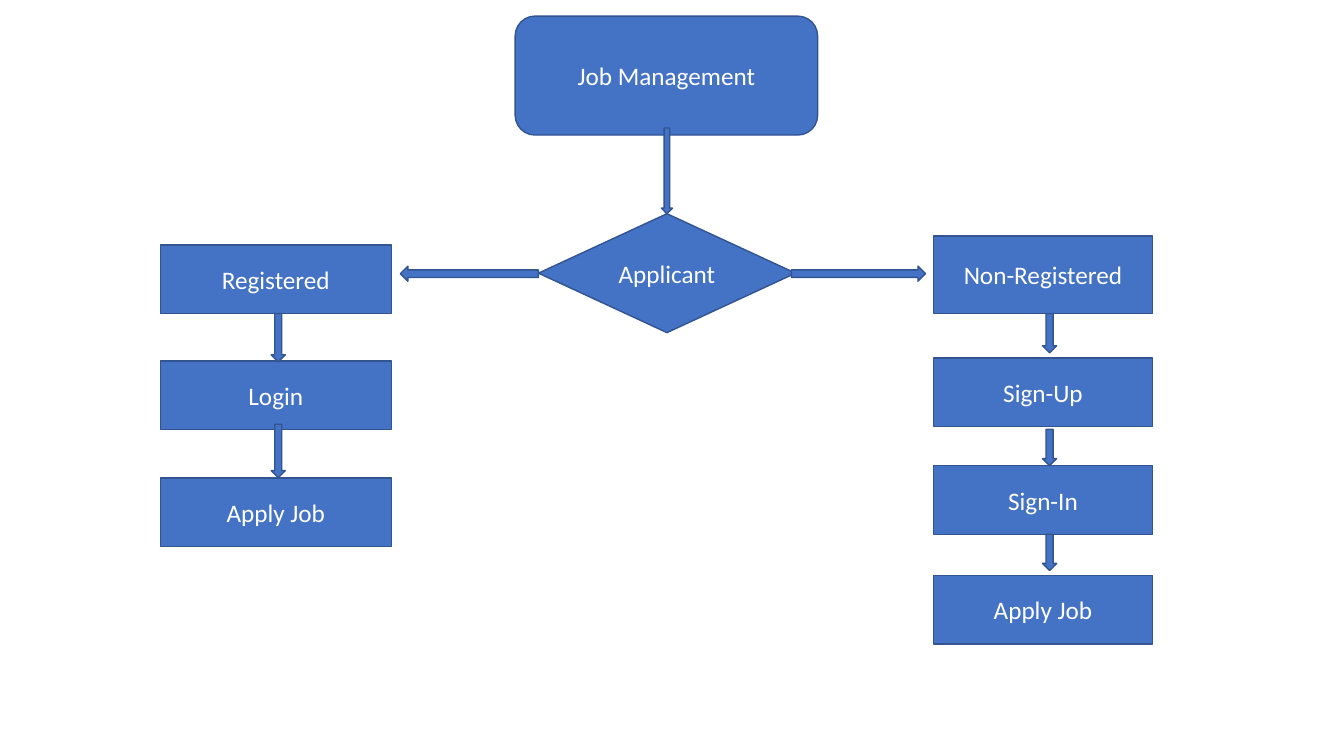
from pptx import Presentation
from pptx.dml.color import RGBColor
from pptx.enum.shapes import MSO_SHAPE as Shape
from pptx.enum.text import MSO_ANCHOR as Anchor, PP_ALIGN as Align
from pptx.util import Inches, Pt

COLORS = {"fill": "4472C4", "line": "325491", "text": "FFFFFF"}


class FlowChart:
    font_name = "Calibri"
    font_size = Pt(18)
    line_width = Pt(1)
    arrow_width = 0.14

    def __init__(self, slide):
        self.slide = slide

    def color(self, name):
        return RGBColor.from_string(COLORS[name])

    def block(self, kind, left, top, width, height):
        shape = self.slide.shapes.add_shape(
            kind, Inches(left), Inches(top), Inches(width), Inches(height))
        shape.shadow.inherit = False
        shape.fill.solid()
        shape.fill.fore_color.rgb = self.color("fill")
        shape.line.color.rgb = self.color("line")
        shape.line.width = self.line_width
        return shape

    def step(self, text, left, top, width, height, kind=Shape.RECTANGLE):
        frame = self.block(kind, left, top, width, height).text_frame
        frame.word_wrap = True
        frame.vertical_anchor = Anchor.MIDDLE
        paragraph = frame.paragraphs[0]
        paragraph.alignment = Align.CENTER
        run = paragraph.add_run()
        run.text = text
        run.font.name = self.font_name
        run.font.size = self.font_size
        run.font.color.rgb = self.color("text")

    def down_arrow(self, left, top, height, width=arrow_width):
        self.block(Shape.DOWN_ARROW, left, top, width, height)

    def side_arrow(self, left, top, width, rotation=0):
        arrow = self.block(Shape.RIGHT_ARROW, left, top, width, 0.15)
        arrow.rotation = rotation

    def branch(self, left, width, steps, arrow_left, arrows):
        for text, top, height in steps:
            self.step(text, left, top, width, height)
        for top, height in arrows:
            self.down_arrow(arrow_left, top, height)


def main():
    presentation = Presentation()
    presentation.slide_width = Inches(13.33)
    presentation.slide_height = Inches(7.5)
    slide = presentation.slides.add_slide(presentation.slide_layouts[6])
    chart = FlowChart(slide)

    # Start and decision
    chart.step("Job Management", 5.11, 0.16, 3, 1.18, Shape.ROUNDED_RECTANGLE)
    chart.step("Applicant", 5.34, 2.12, 2.55, 1.18, Shape.FLOWCHART_DECISION)

    # Registered applicants
    chart.branch(
        1.59, 2.29,
        [("Registered", 2.43, 0.68), ("Login", 3.58, 0.68),
         ("Apply Job", 4.74, 0.68)],
        2.69, [(3.11, 0.48), (4.21, 0.53)])

    # Non-registered applicants
    chart.branch(
        9.26, 2.17,
        [("Non-Registered", 2.34, 0.77), ("Sign-Up", 3.55, 0.68),
         ("Sign-In", 4.62, 0.68), ("Apply Job", 5.71, 0.68)],
        10.34, [(3.11, 0.39), (4.26, 0.36), (5.3, 0.36)])

    # Arrows into and out of the decision
    chart.down_arrow(6.56, 1.27, 0.85, width=0.11)
    chart.side_arrow(7.85, 2.64, 1.33)
    chart.side_arrow(3.97, 2.64, 1.37, rotation=180)

    presentation.save("out.pptx")


if __name__ == "__main__":
    main()
